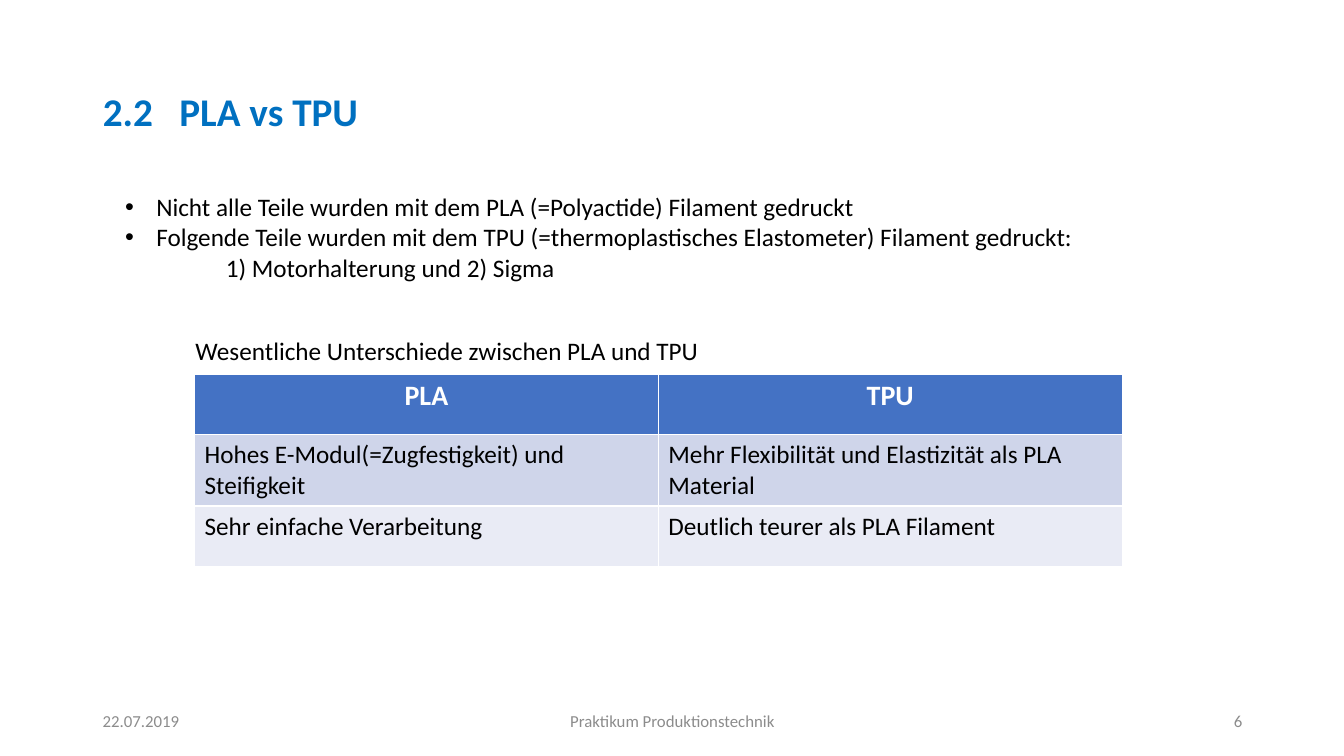
from dataclasses import dataclass

from pptx import Presentation
from pptx.dml.color import RGBColor
from pptx.enum.text import MSO_ANCHOR as Anchor, MSO_AUTO_SIZE as AutoSize, PP_ALIGN as Align
from pptx.oxml.xmlchemy import OxmlElement
from pptx.util import Emu, Pt

EMU_PER_PX = 9144


@dataclass(frozen=True)
class Theme:
    font: str = "Calibri"
    title: str = "0070C0"
    text: str = "000000"
    footer: str = "8C8C8C"
    header_text: str = "FFFFFF"
    header_fill: str = "4472C4"
    bands: tuple[str, ...] = ("CFD5EA", "E9EBF5")
    title_pt: int = 28
    header_pt: int = 20
    body_pt: int = 18
    footer_pt: int = 12


@dataclass(frozen=True)
class Box:
    x: int
    y: int
    w: int
    h: int

    def emu(self) -> tuple[Emu, ...]:
        return tuple(px(n) for n in (self.x, self.y, self.w, self.h))


@dataclass(frozen=True)
class Label:
    text: str
    box: Box
    size: int
    color: str
    align: Align = Align.LEFT
    anchor: Anchor = Anchor.MIDDLE
    wrap: bool = True


@dataclass(frozen=True)
class Item:
    text: str
    margin: int = 31
    indent: int = -31
    bullet: str = "•"


THEME = Theme()
TITLE = "2.2\tPLA vs TPU"
ITEMS = (
    Item("Nicht alle Teile wurden mit dem PLA (=Polyactide) Filament gedruckt"),
    Item("Folgende Teile wurden mit dem TPU (=thermoplastisches Elastometer) Filament gedruckt:"),
    Item("1) Motorhalterung und 2) Sigma", 100, 0, ""),
)
LABELS = (
    Label("22.07.2019", Box(92, 695, 300, 40), THEME.footer_pt, THEME.footer),
    Label("Praktikum Produktionstechnik", Box(335, 695, 664, 40),
          THEME.footer_pt, THEME.footer, Align.CENTER),
    Label("6", Box(942, 695, 300, 40), THEME.footer_pt, THEME.footer, Align.RIGHT),
    Label("Wesentliche Unterschiede zwischen PLA und TPU", Box(184, 328, 525, 40),
          THEME.body_pt, THEME.text, anchor=Anchor.TOP, wrap=False),
)
ROWS = (
    ("PLA", "TPU"),
    ("Hohes E-Modul(=Zugfestigkeit) und Steifigkeit",
     "Mehr Flexibilität und Elastizität als PLA Material"),
    ("Sehr einfache Verarbeitung", "Deutlich teurer als PLA Filament"),
)
TABLE_BOX = Box(193, 371, 920, 180)


def px(n: int) -> Emu:
    return Emu(n * EMU_PER_PX)


def style(p, size: int, color: str, bold: bool = False, align: Align = Align.LEFT) -> None:
    p.alignment = align
    for r in p.runs:
        r.font.name = THEME.font
        r.font.size = Pt(size)
        r.font.bold = bold
        r.font.color.rgb = RGBColor.from_string(color)


def set_indent(p, margin: int, indent: int, bullet: str = "") -> None:
    pPr = p._p.get_or_add_pPr()
    pPr.set("marL", str(px(margin)))
    pPr.set("indent", str(px(indent)))
    if bullet:
        font = OxmlElement("a:buFont")
        font.set("typeface", "Arial")
        pPr.append(font)
        mark = OxmlElement("a:buChar")
        mark.set("char", bullet)
    else:
        mark = OxmlElement("a:buNone")
    pPr.append(mark)


def place(sp, box: Box, anchor: Anchor):
    sp.left, sp.top, sp.width, sp.height = box.emu()
    tf = sp.text_frame
    tf.word_wrap = True
    tf.auto_size = AutoSize.NONE
    tf.vertical_anchor = anchor
    return tf


def draw_title(sp) -> None:
    tf = place(sp, Box(92, 40, 1150, 145), Anchor.MIDDLE)
    tf.text = TITLE
    p = tf.paragraphs[0]
    p.line_spacing = 0.9
    style(p, THEME.title_pt, THEME.title, bold=True)
    set_indent(p, 76, -76)


def draw_list(sp) -> None:
    tf = place(sp, Box(114, 185, 1138, 101), Anchor.TOP)
    tf.text = "\n".join(item.text for item in ITEMS)
    for p, item in zip(tf.paragraphs, ITEMS):
        p.space_before = Pt(0)
        style(p, THEME.body_pt, THEME.text)
        set_indent(p, item.margin, item.indent, item.bullet)


def draw_label(s, label: Label) -> None:
    tf = s.shapes.add_textbox(*label.box.emu()).text_frame
    tf.word_wrap = label.wrap
    tf.vertical_anchor = label.anchor
    tf.text = label.text
    style(tf.paragraphs[0], label.size, label.color, align=label.align)


def draw_table(s) -> None:
    table = s.shapes.add_table(len(ROWS), len(ROWS[0]), *TABLE_BOX.emu()).table
    for i, row in enumerate(ROWS):
        header = i == 0
        fill = THEME.header_fill if header else THEME.bands[(i - 1) % len(THEME.bands)]
        for j, text in enumerate(row):
            cell = table.cell(i, j)
            cell.fill.solid()
            cell.fill.fore_color.rgb = RGBColor.from_string(fill)
            cell.text_frame.text = text
            p = cell.text_frame.paragraphs[0]
            if header:
                style(p, THEME.header_pt, THEME.header_text, True, Align.CENTER)
            else:
                style(p, THEME.body_pt, THEME.text)


def main() -> None:
    prs = Presentation()
    prs.slide_width, prs.slide_height = px(1333), px(750)
    s = prs.slides.add_slide(prs.slide_layouts[1])
    draw_title(s.shapes.title)
    draw_list(s.placeholders[1])
    draw_table(s)
    for label in LABELS:
        draw_label(s, label)
    prs.save("out.pptx")


if __name__ == "__main__":
    main()
